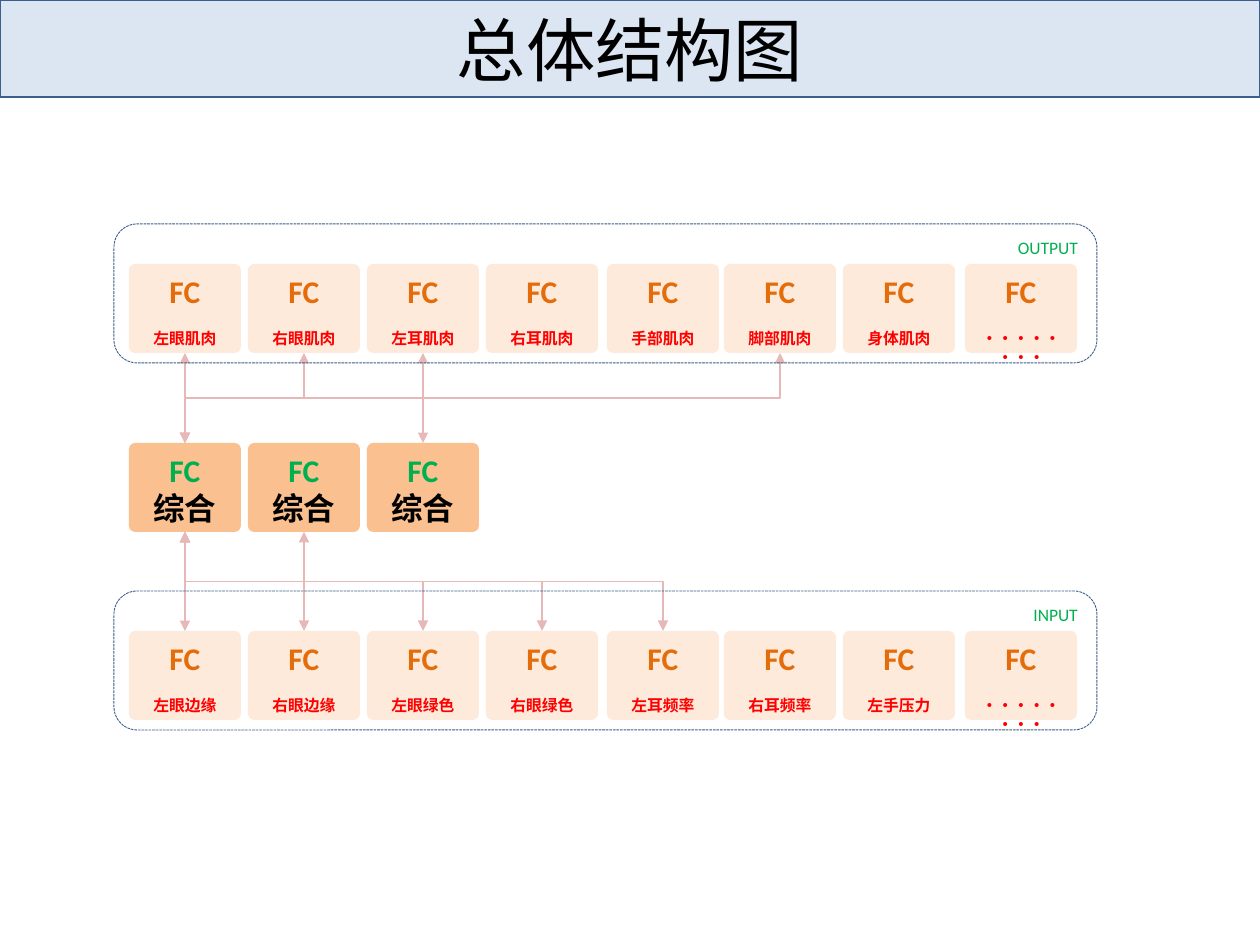
import pptx
import pptx.util
import pptx.dml.color
import pptx.enum.dml
import pptx.enum.shapes
import pptx.enum.text
import lxml.etree
import pptx.oxml.ns

SCALE = 914400 // 126
COLORS = {
    "banner": "DCE6F2", "outline": "3A5F8C", "cell": "FDEADA", "hub": "FAC090",
    "arrow": "E6B9B8", "orange": "E46C0A", "red": "FF0000", "green": "00B050",
    "black": "000000",
}
SHAPES = pptx.enum.shapes.MSO_SHAPE
ALIGN = pptx.enum.text.PP_ALIGN
ANCHOR = pptx.enum.text.MSO_ANCHOR


def color(name):
    return pptx.dml.color.RGBColor.from_string(COLORS[name])


def add_box(kind, area, fill, outline, lines, align=ALIGN.CENTER, anchor=ANCHOR.TOP):
    """lines holds (text, size, colour, bold, space before); outline is a width or None."""
    box = page.shapes.add_shape(kind, *[value * SCALE for value in area])
    box.shadow.inherit = False
    if fill:
        box.fill.solid()
        box.fill.fore_color.rgb = color(fill)
    else:
        box.fill.background()
    if outline:
        box.line.color.rgb = color("outline")
        box.line.width = pptx.util.Pt(outline)
    else:
        box.line.fill.background()
    frame = box.text_frame
    frame.word_wrap = True
    frame.vertical_anchor = anchor
    for number, (text, size, tint, bold, gap) in enumerate(lines):
        para = frame.paragraphs[0] if number == 0 else frame.add_paragraph()
        para.text = text
        para.alignment = align
        para.space_before = pptx.util.Pt(gap)
        para.font.name = "Calibri"
        para.font.size = pptx.util.Pt(size)
        para.font.bold = bold
        para.font.color.rgb = color(tint)
    return box


deck = pptx.Presentation()
deck.slide_width = 1260 * SCALE
deck.slide_height = 945 * SCALE
page = deck.slides.add_slide(deck.slide_layouts[6])

# Title banner
add_box(SHAPES.RECTANGLE, (0, 0, 1260, 97), "banner", 0.75,
        [("总体结构图", 39.6, "black", False, 0)], anchor=ANCHOR.MIDDLE)

# Rows of FC cells
CELL_WIDTH, CELL_HEIGHT = 112, 89
OUTPUT_TOP, HUB_TOP, INPUT_TOP = 264, 443, 631
lefts = [129, 248, 367, 486, 607, 724, 843, 965]
centers = [left + CELL_WIDTH // 2 for left in lefts]
dots = "・" * 8
output_names = ["左眼肌肉", "右眼肌肉", "左耳肌肉", "右耳肌肉",
                "手部肌肉", "脚部肌肉", "身体肌肉", dots]
input_names = ["左眼边缘", "右眼边缘", "左眼绿色", "右眼绿色",
               "左耳频率", "右耳频率", "左手压力", dots]
rows = [
    (OUTPUT_TOP, output_names, "cell", "orange", (9, "red", True, 11)),
    (HUB_TOP, ["综合"] * 3, "hub", "green", (18, "black", True, 0)),
    (INPUT_TOP, input_names, "cell", "orange", (9, "red", True, 11)),
]
for top, names, fill, heading, style in rows:
    for left, name in zip(lefts, names):
        cell = add_box(SHAPES.ROUNDED_RECTANGLE, (left, top, CELL_WIDTH, CELL_HEIGHT), fill, None,
                       [("FC", 18, heading, True, 0), (name, *style)])
        cell.adjustments[0] = 0.07

# Double-headed elbow arrows: (hub column, column in the other row)
input_links = [(0, 0), (0, 1), (0, 2), (0, 3), (1, 4)]
output_links = [(0, 0), (0, 1), (0, 2), (2, 5)]
arrows = [(centers[cell], INPUT_TOP, centers[hub], HUB_TOP + CELL_HEIGHT)
          for hub, cell in input_links]
arrows += [(centers[hub], HUB_TOP, centers[cell], OUTPUT_TOP + CELL_HEIGHT)
           for hub, cell in output_links]
for start_x, start_y, end_x, end_y in arrows:
    # Drawn sideways around its middle, then turned so that it leaves upwards
    middle_x, middle_y = (start_x + end_x) / 2, (start_y + end_y) / 2
    half_length, half_rise = (start_y - end_y) / 2, (end_x - start_x) / 2
    ends = (middle_x - half_length, middle_y - half_rise,
            middle_x + half_length, middle_y + half_rise)
    arrow = page.shapes.add_connector(pptx.enum.shapes.MSO_CONNECTOR.ELBOW,
                                      *[round(value * SCALE) for value in ends])
    arrow.line.color.rgb = color("arrow")
    arrow.line.width = pptx.util.Pt(0.75)
    properties = arrow._element.spPr
    properties.find(pptx.oxml.ns.qn("a:xfrm")).set("rot", str(270 * 60000))
    line = properties.find(pptx.oxml.ns.qn("a:ln"))
    for tag in ("a:headEnd", "a:tailEnd"):
        lxml.etree.SubElement(line, pptx.oxml.ns.qn(tag), type="triangle")
    lxml.etree.SubElement(properties, pptx.oxml.ns.qn("a:effectLst"))

# Dashed group frames
for top, label in ((224, "OUTPUT"), (591, "INPUT")):
    group = add_box(SHAPES.ROUNDED_RECTANGLE, (114, top, 983, 139), None, 0.5,
                    [(label, 10, "green", False, 0)], align=ALIGN.RIGHT)
    group.line.dash_style = pptx.enum.dml.MSO_LINE.SQUARE_DOT

deck.save("out.pptx")
